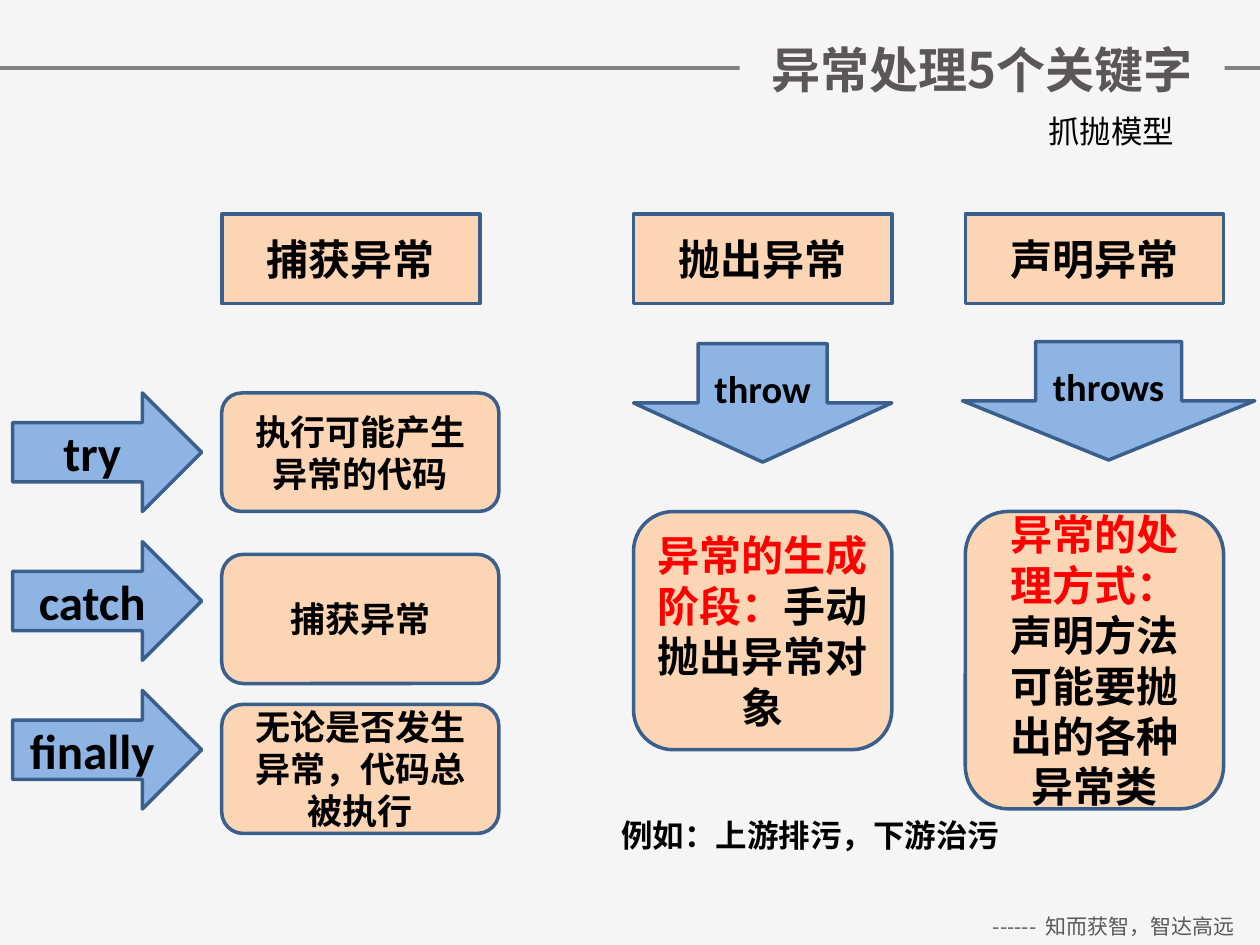
"""Build the slide on the five keywords of exception handling."""
from dataclasses import dataclass

from lxml import etree
from pptx import Presentation
from pptx.dml.color import RGBColor
from pptx.enum.shapes import MSO_CONNECTOR, MSO_SHAPE
from pptx.enum.text import MSO_ANCHOR, PP_ALIGN
from pptx.oxml.ns import qn
from pptx.util import Pt

RECT, ROUND = MSO_SHAPE.RECTANGLE, MSO_SHAPE.ROUNDED_RECTANGLE
RIGHT, DOWN = MSO_SHAPE.RIGHT_ARROW, MSO_SHAPE.DOWN_ARROW
STRAIGHT = MSO_CONNECTOR.STRAIGHT
LEFT, CENTER = PP_ALIGN.LEFT, PP_ALIGN.CENTER
TOP, MIDDLE = MSO_ANCHOR.TOP, MSO_ANCHOR.MIDDLE


@dataclass(frozen=True)
class Theme:
    """Colours, fonts and type sizes of the slide."""
    back: str = "F5F5F5"
    peach: str = "FCD5B5"
    blue: str = "8EB4E3"
    edge: str = "3A5F8C"
    rule: str = "808080"
    title: str = "595758"
    foot: str = "595959"
    ink: str = "000000"
    red: str = "FF0000"
    latin: str = "Calibri"
    asian: str = "Noto Sans CJK SC"
    big: int = 28
    head: int = 24
    key: int = 22
    body: int = 20
    note: int = 18
    small: int = 12


THEME = Theme()


def color(code):
    """Turn a hex code into a colour."""
    return RGBColor.from_string(code)


def write(frame, *parts, size=THEME.body, ink=THEME.ink, bold=True,
          font=THEME.latin, align=CENTER, anchor=MIDDLE):
    """Fill a frame with one paragraph of strings or (string, colour) pairs."""
    frame.word_wrap = True
    frame.vertical_anchor = anchor
    line = frame.paragraphs[0]
    line.alignment = align
    for part in parts:
        text, tint = (part, ink) if isinstance(part, str) else part
        run = line.add_run()
        run.text = text
        run.font.size, run.font.bold, run.font.name = Pt(size), bold, font
        run.font.color.rgb = color(tint)
        asian = etree.SubElement(run.font._element, qn("a:ea"))
        asian.set("typeface", THEME.asian)


def block(slide, kind, box, *parts, fill=THEME.peach, **style):
    """Add an outlined shape with text."""
    shape = slide.shapes.add_shape(kind, *map(Pt, box))
    shape.shadow.inherit = False
    shape.fill.solid()
    shape.fill.fore_color.rgb = color(fill)
    shape.line.color.rgb = color(THEME.edge)
    shape.line.width = Pt(2)
    write(shape.text_frame, *parts, **style)


def label(slide, box, text, **style):
    """Add a plain text box."""
    shape = slide.shapes.add_textbox(*map(Pt, box))
    write(shape.text_frame, text, anchor=TOP, **style)


def header(slide, box, text, topic):
    """Place the rule, the title that masks it, and the topic below."""
    left, top, width, height = box
    level = top + 20.2
    rule = slide.shapes.add_connector(STRAIGHT, 0, Pt(level), Pt(720), Pt(level))
    rule.line.color.rgb = color(THEME.rule)
    rule.line.width = Pt(2)
    etree.SubElement(rule.element.spPr, qn("a:effectLst"))
    title = slide.shapes.title
    title.left, title.top, title.width, title.height = map(Pt, box)
    title.fill.solid()
    title.fill.fore_color.rgb = color(THEME.back)
    write(title.text_frame, text, size=THEME.big, ink=THEME.title,
          font=THEME.asian)
    slide.shapes.element.append(title.element)
    label(slide, (left + 169.2, top + height + 0.8, 102.2, 29), topic,
          size=THEME.note, bold=False, align=LEFT)


def catch(slide, box, head, rows):
    """Place a heading over rows of a keyword arrow and its meaning."""
    left, top, width, height = box
    inset = 119.5
    block(slide, RECT, (left + inset, top, 147.6, 51.1), head, size=THEME.head)
    for step, (word, text, drop, tall) in enumerate(rows):
        block(slide, RIGHT, (left, top + 102.2 + 85 * step, 108, 67.7), word,
              fill=THEME.blue, size=THEME.big)
        block(slide, ROUND, (left + inset, top + drop, width - inset, tall),
              text)


def throw(slide, box, head, word, arrow, *parts):
    """Place a heading, a keyword arrow and a box of text in a column."""
    left, top, width, height = box
    shift, drop, span = arrow
    block(slide, RECT, (left, top, width, 51.1), head, size=THEME.head)
    block(slide, DOWN, (left + shift, top + drop, span, 67.7), word,
          fill=THEME.blue, size=THEME.key)
    block(slide, ROUND, (left, top + 169.9, width, height - 169.9), *parts,
          size=THEME.head)


def main():
    """Build and save the deck."""
    deck = Presentation()
    deck.slide_width, deck.slide_height = Pt(720), Pt(540)
    slide = deck.slides.add_slide(deck.slide_layouts[5])
    slide.background.fill.solid()
    slide.background.fill.fore_color.rgb = color(THEME.back)
    header(slide, (422.6, 18.7, 277.2, 41), "异常处理5个关键字", "抓抛模型")
    catch(slide, (7.2, 122.4, 277.9, 353.5), "捕获异常", (
        ("try", "执行可能产生异常的代码", 102.2, 67.7),
        ("catch", "捕获异常", 194.4, 73.8),
        ("finally", "无论是否发生异常，代码总被执行", 280.1, 73.8)))
    throw(slide, (362, 122.4, 147.6, 306), "抛出异常", "throw",
          (0, 74, 147.6), ("异常的生成阶段：", THEME.red), "手动抛出异常对象")
    throw(slide, (551.6, 122.4, 147.6, 339.8), "声明异常", "throws",
          (-1.6, 72.8, 167), ("异常的处理方式：", THEME.red),
          "声明方法可能要抛出的各种异常类")
    label(slide, (347.8, 463, 260.6, 29), "例如：上游排污，下游治污",
          size=THEME.note, font=THEME.asian, align=LEFT)
    label(slide, (553, 518.4, 167, 21.6), "------  知而获智，智达高远",
          size=THEME.small, ink=THEME.foot, bold=False, font=THEME.asian)
    deck.save("out.pptx")


main()
